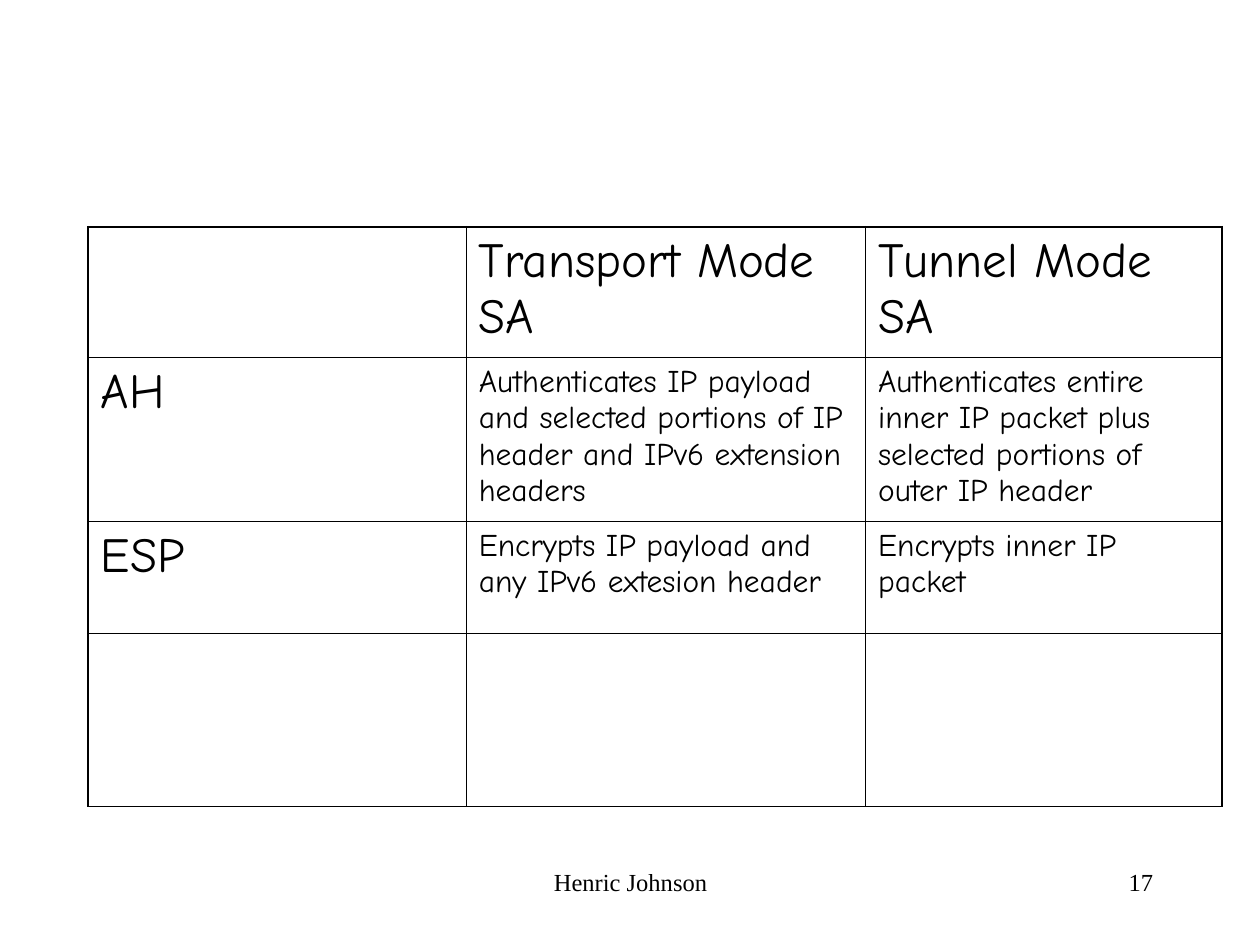
"""Build a slide with a table comparing AH and ESP in transport and tunnel mode."""
from lxml import etree
from pptx import Presentation
from pptx import util as u
from pptx.dml.color import RGBColor
from pptx.enum import text
from pptx.oxml import ns

THEME = {
    "ink": "000000", "table_font": "Comic Neue", "footer_font": "Times New Roman",
    "heading": 28, "body": 18, "footer": 14, "inner_line": 0.45, "outer_line": 1.08,
}
ROWS = [
    ("", "Transport Mode SA", "Tunnel Mode SA"),
    ("AH",
     "Authenticates IP payload and selected portions of IP header and IPv6 extension headers",
     "Authenticates entire inner IP packet plus selected portions of outer IP header"),
    ("ESP", "Encrypts IP payload and any IPv6 extesion header", "Encrypts inner IP packet"),
    ("", "", ""),
]
COLUMN_WIDTHS = (3, 3.17, 2.83)
ROW_HEIGHTS = (1.04, 1.3, 0.89, 1.37)
TABLE_LEFT, TABLE_TOP = 0.7, 1.8
FOOTER_TOP, FOOTER_HEIGHT = 6.83, 0.5
FOOTERS = [
    ("Henric Johnson", 3.42, 3.17, text.PP_ALIGN.CENTER),
    ("17", 7.17, 2.08, text.PP_ALIGN.RIGHT),
]


def write(frame, words, *, size, font, align=text.PP_ALIGN.LEFT):
    frame.word_wrap = True
    para = frame.paragraphs[0]
    para.alignment = align
    para.font.size = u.Pt(size)
    if words:
        span = para.add_run()
        span.text = words
        span.font.name = font
        span.font.size = u.Pt(size)
        span.font.color.rgb = RGBColor.from_string(THEME["ink"])


def set_borders(cell, outer_sides):
    properties = cell._tc.get_or_add_tcPr()
    for side in "LRTB":
        weight = THEME["outer_line" if side in outer_sides else "inner_line"]
        line = etree.SubElement(properties, ns.qn(f"a:ln{side}"), w=str(u.Pt(weight)))
        fill = etree.SubElement(line, ns.qn("a:solidFill"))
        etree.SubElement(fill, ns.qn("a:srgbClr"), val=THEME["ink"])


def add_comparison(page):
    box = page.shapes.add_table(
        len(ROWS), len(COLUMN_WIDTHS), u.Inches(TABLE_LEFT), u.Inches(TABLE_TOP),
        u.Inches(sum(COLUMN_WIDTHS)), u.Inches(sum(ROW_HEIGHTS)))
    table = box.table
    table.first_row = table.horz_banding = False
    for column, width in zip(table.columns, COLUMN_WIDTHS):
        column.width = u.Inches(width)
    for row, height in zip(table.rows, ROW_HEIGHTS):
        row.height = u.Inches(height)
    last_row, last_column = len(ROWS) - 1, len(COLUMN_WIDTHS) - 1
    for r, row in enumerate(ROWS):
        for c, words in enumerate(row):
            cell = table.cell(r, c)
            edges = {"L": c == 0, "R": c == last_column, "T": r == 0, "B": r == last_row}
            set_borders(cell, [side for side, outer in edges.items() if outer])
            cell.fill.background()
            size = THEME["heading" if r == 0 or c == 0 else "body"]
            write(cell.text_frame, words, size=size, font=THEME["table_font"])


def main():
    deck = Presentation()
    deck.slide_width, deck.slide_height = u.Inches(10), u.Inches(7.5)
    page = deck.slides.add_slide(deck.slide_layouts[6])
    for words, left, width, align in FOOTERS:
        box = page.shapes.add_textbox(
            u.Inches(left), u.Inches(FOOTER_TOP), u.Inches(width), u.Inches(FOOTER_HEIGHT))
        write(box.text_frame, words, size=THEME["footer"],
              font=THEME["footer_font"], align=align)
    add_comparison(page)
    deck.save("out.pptx")


if __name__ == "__main__":
    main()
